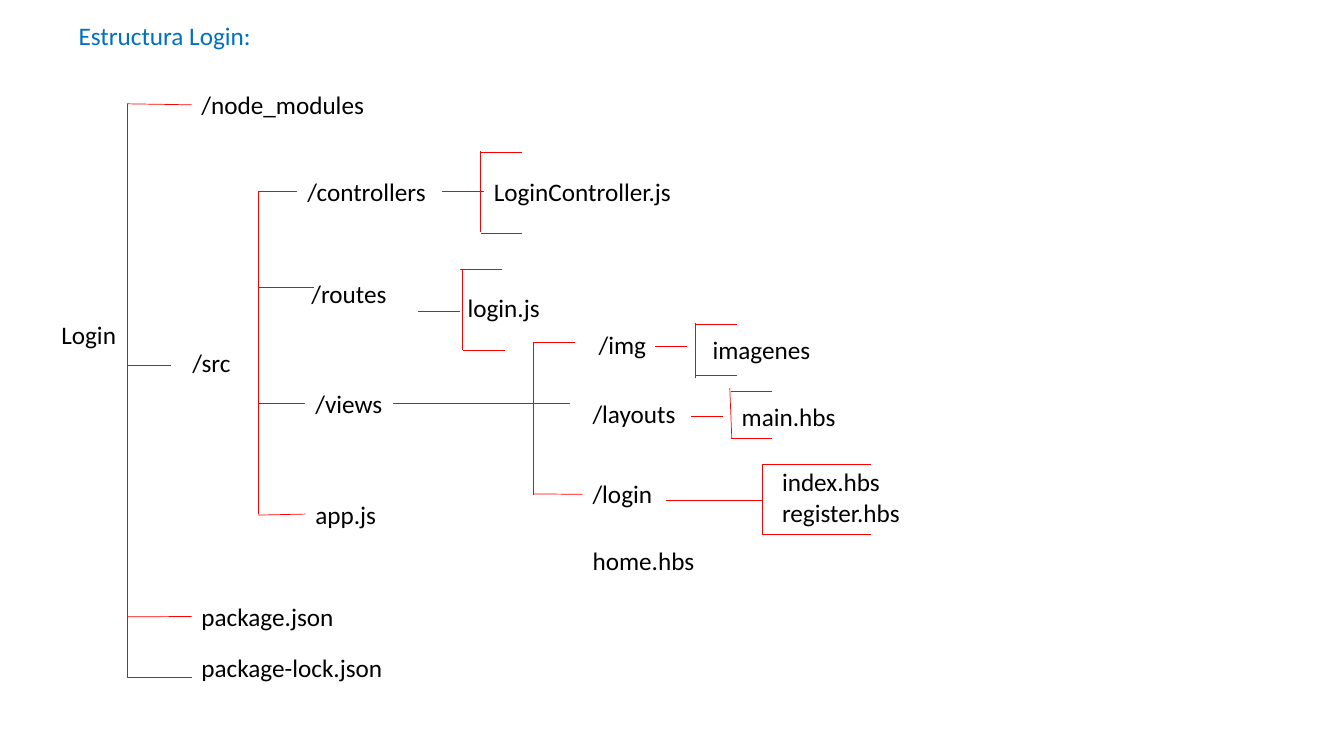
from lxml import etree
from pptx import Presentation
from pptx import util as u
from pptx.dml import color
from pptx.enum import shapes, text
from pptx.oxml import ns

CELL = u.Inches(0.1)
COLS, ROWS = 133.33, 75


def rgb(value):
    return color.RGBColor.from_string(value)


def grid(*cells):
    return [round(c * CELL) for c in cells]


class Tree:
    font = "Calibri"
    size = u.Pt(18)
    ink = "000000"
    accent = "0070C0"
    branch = "FF0000"
    weight = u.Pt(0.5)

    def __init__(self, prs):
        self.s = prs.slides.add_slide(prs.slide_layouts[5])

    def set_text(self, sp, content, ink, wrap):
        tf = sp.text_frame
        tf.text = content
        tf.word_wrap = wrap
        tf.auto_size = text.MSO_AUTO_SIZE.SHAPE_TO_FIT_TEXT
        tf.vertical_anchor = text.MSO_ANCHOR.TOP
        for p in tf.paragraphs:
            p.alignment = text.PP_ALIGN.LEFT
            p.font.name = self.font
            p.font.size = self.size
            p.font.color.rgb = rgb(ink)

    def title(self, content, col, row, width, height):
        sp = self.s.shapes.title
        sp.left, sp.top, sp.width, sp.height = grid(col, row, width, height)
        self.set_text(sp, content, self.accent, True)

    def label(self, content, col, row, width, height=4.04):
        sp = self.s.shapes.add_textbox(*grid(col, row, width, height))
        self.set_text(sp, content, self.ink, False)

    def line(self, col, row, end_col, end_row):
        sp = self.s.shapes.add_connector(
            shapes.MSO_CONNECTOR.STRAIGHT, *grid(col, row, end_col, end_row))
        sp.line.color.rgb = rgb(self.branch)
        sp.line.width = self.weight
        etree.SubElement(sp._element.spPr, ns.qn("a:effectLst"))

    def bracket(self, col, top, bottom, ticks, lean=0):
        self.line(col, top, col + lean, bottom)
        for start, row, end, drop in ticks:
            self.line(start, row, end, row + drop)


LABELS = [
    ("Login", 5.1, 31.2, 7.5),
    ("/node_modules", 19, 8.4, 18.4),
    ("/src", 18.1, 34, 5.8),
    ("package.json", 19, 59.2, 15.2),
    ("package-lock.json", 19, 64.2, 20.1),
    ("/controllers", 29.5, 17, 13.9),
    ("/routes", 29.9, 27.1, 9.6),
    ("/views", 30.3, 38, 8.7),
    ("app.js", 30.3, 49, 8.1),
    ("LoginController.js", 48, 17, 19.8),
    ("login.js", 45.4, 28.5, 9.2),
    ("/img", 58.4, 32.2, 6.8),
    ("/layouts", 57.8, 39, 10.3),
    ("/login", 57.8, 47, 8),
    ("home.hbs", 57.8, 53.6, 12.2),
    ("imagenes", 69.7, 32.7, 11.8),
    ("main.hbs", 72.6, 39.3, 11.4),
    ("index.hbs\nregister.hbs", 76.6, 45.8, 13.8, 7.07),
]

BRACKETS = [
    (12.6, 10.3, 67.2, [(12.6, 10.3, 19, 0.1), (12.6, 36.2, 17, 0),
                        (12.6, 61.2, 19, -0.04), (12.6, 67.2, 19, 0)]),
    (25.6, 19, 51, [(25.6, 19, 29.5, 0), (25.6, 28.5, 31.2, 0),
                    (25.6, 40, 30.3, 0), (25.6, 51.1, 30.3, -0.1)]),
    (47.7, 15, 23, [(47.7, 15.1, 51.8, 0), (47.7, 23.2, 51.8, 0)]),
    (45.9, 26.7, 34.7, [(45.6, 26.7, 49.8, 0), (45.9, 34.8, 50.1, 0)]),
    (52.9, 34, 49.1, [(52.9, 34, 57, 0), (52.9, 49, 57.8, 0.04)]),
    (69, 32, 37.5, [(69, 32.2, 73.1, 0), (69, 37.2, 73.1, 0)]),
    (72.4, 38.5, 43.5, [(72.5, 38.8, 76.6, 0), (72.5, 43.5, 76.6, 0)], 0.2),
    (75.6, 46.1, 53, [(75.6, 46.1, 86.4, 0), (75.6, 53, 86.4, 0)]),
]

STEMS = [(43.9, 19, 48), (41.5, 30.9, 45.6), (39, 40, 56.5),
         (65, 34.4, 68.2), (68.6, 41.3, 71.7), (66.1, 49.6, 75.6)]


def main():
    prs = Presentation()
    prs.slide_width, prs.slide_height = grid(COLS, ROWS)
    tree = Tree(prs)
    tree.title("Estructura Login:", 6.8, 1.5, 44.1, 4.04)
    for label in LABELS:
        tree.label(*label)
    for bracket in BRACKETS:
        tree.bracket(*bracket)
    for start, row, end in STEMS:
        tree.line(start, row, end, row)
    prs.save("out.pptx")


if __name__ == "__main__":
    main()
